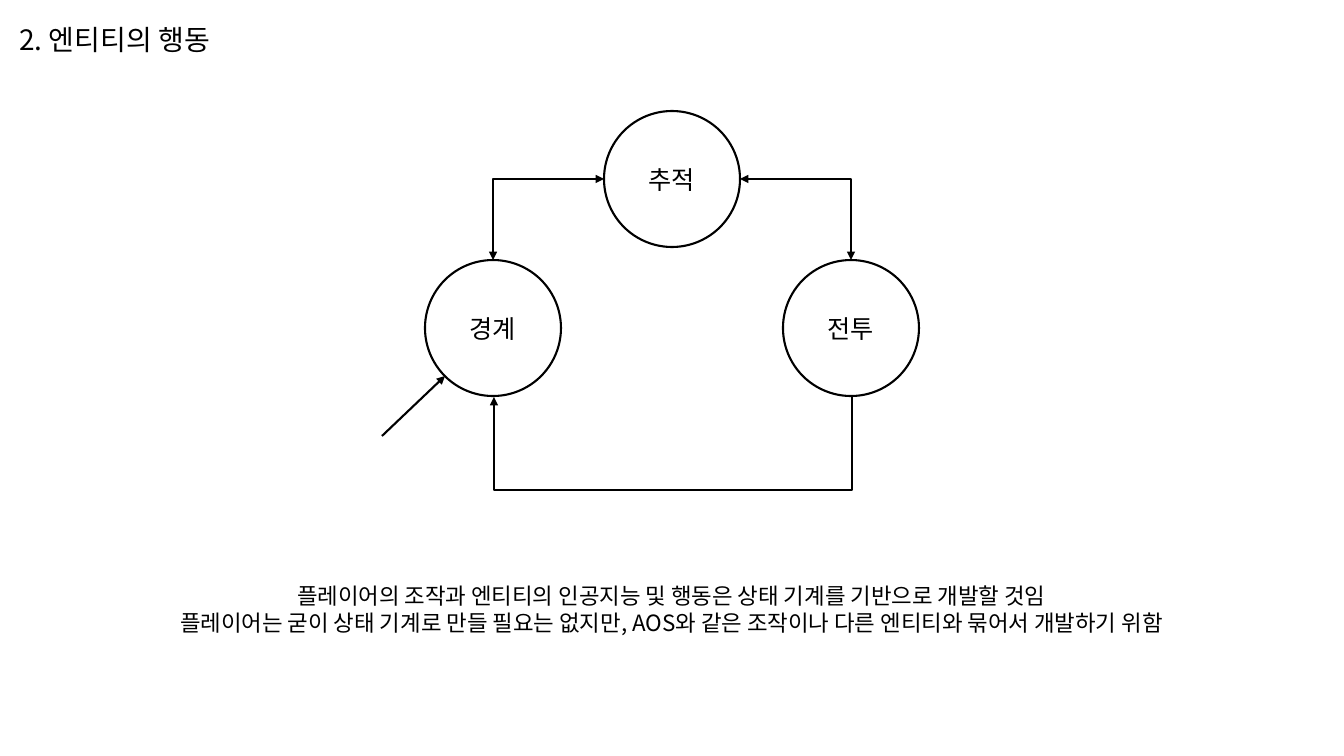
from lxml import etree
from pptx import Presentation
from pptx.dml.color import RGBColor
from pptx.enum.shapes import MSO_CONNECTOR as CONN, MSO_SHAPE as SHAPE
from pptx.enum.text import MSO_ANCHOR as ANCHOR, MSO_AUTO_SIZE as FIT, PP_ALIGN as ALIGN
from pptx.oxml.ns import qn
from pptx.util import Pt

# Content
TITLE = "2. 엔티티의 행동"
CAPTION = [
    "플레이어의 조작과 엔티티의 인공지능 및 행동은 상태 기계를 기반으로 개발할 것임",
    "플레이어는 굳이 상태 기계로 만들 필요는 없지만, AOS와 같은 조작이나 다른 엔티티와 묶어서 개발하기 위함",
]
STATES = {"경계": (493, 328), "전투": (851, 328), "추적": (672, 179)}  # centres
FONT = "Noto Sans CJK KR"
COLORS = {"ink": "000000", "paper": "FFFFFF"}
DIAMETER = 136
RADIUS = DIAMETER // 2
LOOP_DROP = 95


def px(n):
    return round(n * 914400 / 100.8)


def color(name):
    return RGBColor.from_string(COLORS[name])


def write(sp, lines, size, align, anchor=ANCHOR.TOP):
    tf = sp.text_frame
    tf.text = "\n".join(lines)
    tf.word_wrap = True
    tf.vertical_anchor = anchor
    for p in tf.paragraphs:
        p.alignment = align
        for r in p.runs:
            r.font.size = Pt(size)
            r.font.name = FONT
            r.font.color.rgb = color("ink")
            ea = etree.SubElement(r.font._element, qn("a:ea"))
            ea.set("typeface", FONT)


def place(sp, left, top, width, height):
    sp.left, sp.top, sp.width, sp.height = map(px, (left, top, width, height))


def connect(slide, kind, start, end, ends=("tailEnd",)):
    line = slide.shapes.add_connector(kind, *map(px, (*start, *end)))
    line.line.color.rgb = color("ink")
    line.line.width = Pt(1.5)
    ln = line.line._get_or_add_ln()
    for name in ends:
        etree.SubElement(ln, qn(f"a:{name}")).set("type", "triangle")
    etree.SubElement(line._element.spPr, qn("a:effectLst"))
    return line


def elbow(slide, start, end, preset, rotation, flips="", adjust=None, ends=("tailEnd",)):
    """Quarter-turned elbow: its unrotated box swaps width and height."""
    (x1, y1), (x2, y2) = start, end
    w, h = abs(y2 - y1), abs(x2 - x1)
    left, top = (x1 + x2 - w) / 2, (y1 + y2 - h) / 2
    line = connect(slide, CONN.ELBOW, (left, top), (left + w, top + h), ends)
    xfrm = line._element.spPr.find(qn("a:xfrm"))
    xfrm.set("rot", str(rotation * 60000))
    for axis in flips:
        xfrm.set("flip" + axis, "1")
    geom = line._element.spPr.find(qn("a:prstGeom"))
    geom.set("prst", preset)
    if adjust is not None:
        av = geom.find(qn("a:avLst"))
        gd = etree.SubElement(av, qn("a:gd"))
        gd.set("name", "adj1")
        gd.set("fmla", f"val {adjust}")


prs = Presentation()
prs.slide_width, prs.slide_height = px(1344), px(756)
slide = prs.slides.add_slide(prs.slide_layouts[5])

# Title
title = slide.shapes.title
place(title, 9, 17, 219, 44)
write(title, [TITLE], 20, ALIGN.LEFT)
title.text_frame.auto_size = FIT.SHAPE_TO_FIT_TEXT

# States
for name, (cx, cy) in STATES.items():
    sp = slide.shapes.add_shape(SHAPE.OVAL, 0, 0, 0, 0)
    place(sp, cx - RADIUS, cy - RADIUS, DIAMETER, DIAMETER)
    sp.shadow.inherit = False
    sp.fill.solid()
    sp.fill.fore_color.rgb = color("paper")
    sp.line.color.rgb = color("ink")
    sp.line.width = Pt(1.5)
    write(sp, [name], 18, ALIGN.CENTER, ANCHOR.MIDDLE)

# Transitions
(guard_x, low_y), (fight_x, _), (chase_x, high_y) = STATES.values()
both = ("headEnd", "tailEnd")
connect(slide, CONN.STRAIGHT, (382, 436), (445, 376))
elbow(slide, (guard_x, low_y - RADIUS), (chase_x - RADIUS, high_y),
      "bentConnector2", 90, "HV", ends=both)
elbow(slide, (fight_x, low_y - RADIUS), (chase_x + RADIUS, high_y),
      "bentConnector2", 270, "V", ends=both)
# The loop's box is 1 px wide, so its bend is a multiple of 100 %
elbow(slide, (fight_x + 1, low_y + RADIUS), (guard_x + 1, low_y + RADIUS + 1),
      "bentConnector3", 90, adjust=LOOP_DROP * 100000)

# Caption
caption = slide.shapes.add_textbox(0, 0, 0, 0)
place(caption, 168, 577, 1007, 65)
write(caption, CAPTION, 16, ALIGN.CENTER)
caption.text_frame.auto_size = FIT.SHAPE_TO_FIT_TEXT

prs.save("out.pptx")
